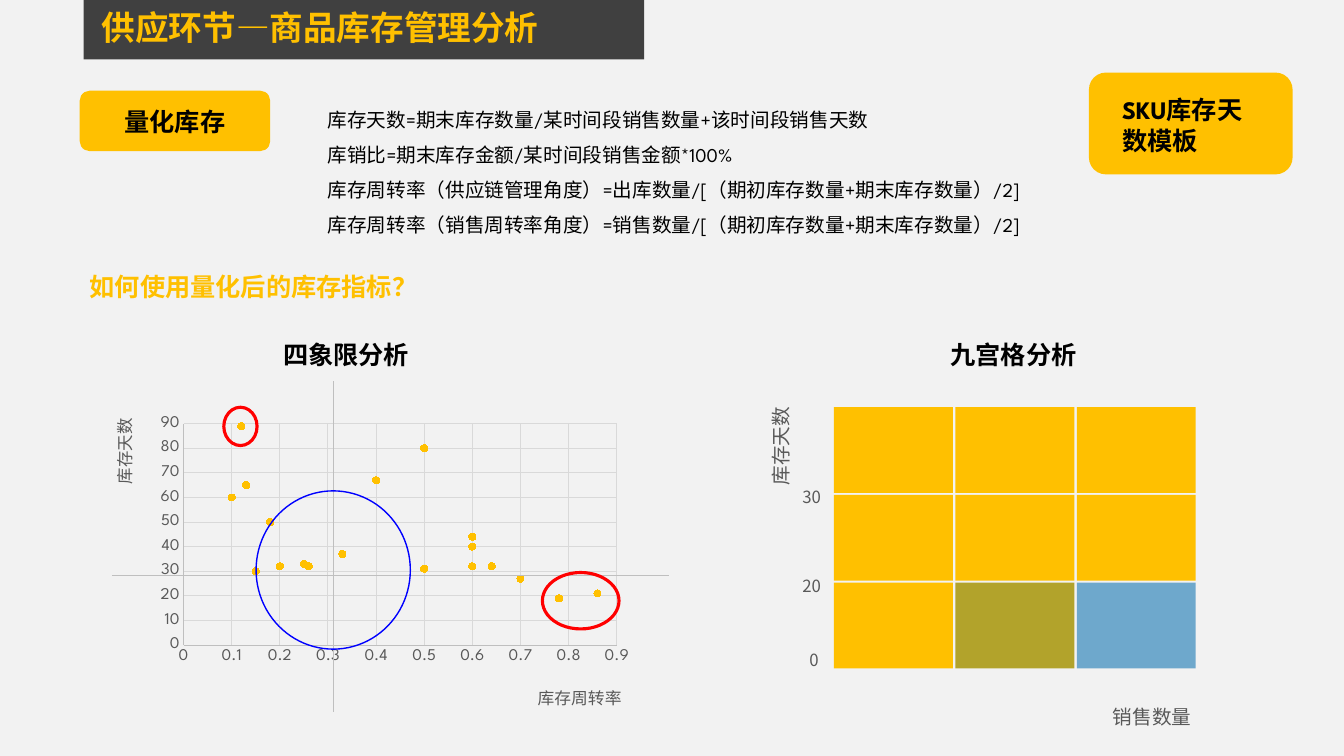
from lxml import etree
from pptx import Presentation
from pptx.chart.data import XyChartData
from pptx.dml.color import RGBColor
from pptx.enum.chart import XL_CHART_TYPE, XL_MARKER_STYLE, XL_TICK_MARK
from pptx.enum.lang import MSO_LANGUAGE_ID
from pptx.enum.shapes import MSO_CONNECTOR, MSO_SHAPE
from pptx.enum.text import MSO_ANCHOR, MSO_AUTO_SIZE, PP_ALIGN
from pptx.oxml import parse_xml
from pptx.oxml.ns import nsdecls, qn
from pptx.util import Inches, Pt

RECT, ROUNDED, OVAL = MSO_SHAPE.RECTANGLE, MSO_SHAPE.ROUNDED_RECTANGLE, MSO_SHAPE.OVAL
STRAIGHT = MSO_CONNECTOR.STRAIGHT
SCATTER, DOT = XL_CHART_TYPE.XY_SCATTER, XL_MARKER_STYLE.CIRCLE
NO_TICK = XL_TICK_MARK.NONE
CENTER, MIDDLE = PP_ALIGN.CENTER, MSO_ANCHOR.MIDDLE
GROW = MSO_AUTO_SIZE.SHAPE_TO_FIT_TEXT
CHINESE = MSO_LANGUAGE_ID.SIMPLIFIED_CHINESE
LATIN, CJK = "League Spartan", "Noto Sans CJK SC"

COLORS = {
    "background": "F2F2F2", "bar": "404040", "gold": "FFC000", "black": "000000",
    "gray": "595959", "axis": "BFBFBF", "grid": "D9D9D9", "blue": "0000FF",
    "red": "FF0000", "olive": "B2A32B", "sky": "6EA8CC",
}
HEADING = {"size": Pt(18), "bold": True}
AXIS_LABEL = {"size": Pt(14)}
TICK_LABEL = {"size": Pt(12), "name": CJK}

FORMULAS = [
    "库存天数=期末库存数量/某时间段销售数量+该时间段销售天数",
    "库销比=期末库存金额/某时间段销售金额*100%",
    "库存周转率（供应链管理角度）=出库数量/[（期初库存数量+期末库存数量）/2]",
    "库存周转率（销售周转率角度）=销售数量/[（期初库存数量+期末库存数量）/2]",
]
TURNOVER_DAYS = [
    (0.7, 27), (0.2, 32), (0.5, 80), (0.6, 44), (0.4, 67), (0.6, 40), (0.15, 30),
    (0.1, 60), (0.13, 65), (0.12, 89), (0.18, 50), (0.25, 33), (0.26, 32),
    (0.33, 37), (0.78, 19), (0.86, 21), (0.6, 32), (0.64, 32), (0.5, 31),
]
NINE_GRID = [["gold"] * 3, ["gold"] * 3, ["gold", "olive", "sky"]]


def rgb(color):
    """Return the named colour."""
    return RGBColor.from_string(COLORS[color])


def style_font(font, color, values):
    """Apply font values and a colour."""
    for key, value in ({"name": LATIN} | values).items():
        setattr(font, key, value)
    font.color.rgb = rgb(color)


def write(frame, lines, color, values, spacing=None, align=None):
    """Write one paragraph per line."""
    for index, line in enumerate(lines):
        paragraph = frame.add_paragraph() if index else frame.paragraphs[0]
        paragraph.alignment = align
        paragraph.line_spacing = spacing
        run = paragraph.add_run()
        run.text = line
        style_font(run.font, color, {"language_id": CHINESE} | values)
        east_asian = etree.SubElement(run.font._element, qn("a:ea"))
        east_asian.set("typeface", CJK)


def add_text(slide, box, lines, color, values, spacing=None, wrap=True, rotation=0):
    """Add a text box."""
    label = slide.shapes.add_textbox(*map(Inches, box))
    label.rotation = rotation
    label.text_frame.word_wrap = wrap
    label.text_frame.auto_size = GROW
    write(label.text_frame, lines, color, values, spacing)


def add_block(shapes, kind, box, color):
    """Add a filled shape without outline."""
    block = shapes.add_shape(kind, *map(Inches, box))
    block.shadow.inherit = False
    block.fill.solid()
    block.fill.fore_color.rgb = rgb(color)
    block.line.fill.background()
    return block


def add_ring(slide, box, color, width):
    """Add an unfilled ellipse around a cluster of points."""
    ring = slide.shapes.add_shape(OVAL, *map(Inches, box))
    ring.shadow.inherit = False
    ring.fill.background()
    ring.line.color.rgb = rgb(color)
    ring.line.width = Pt(width)


def add_divider(slide, ends):
    """Add a quadrant line."""
    divider = slide.shapes.add_connector(STRAIGHT, *map(Inches, ends))
    divider.line.color.rgb = rgb("axis")
    divider.line.width = Pt(0.5)
    etree.SubElement(divider._element.spPr, qn("a:effectLst"))


def set_layout(parent, index, values):
    """Give a chart part a manual layout."""
    for layout in parent.findall(qn("c:layout")):
        parent.remove(layout)
    layout = etree.Element(qn("c:layout"))
    manual = etree.SubElement(layout, qn("c:manualLayout"))
    for key, value in values.items():
        etree.SubElement(manual, qn(f"c:{key}")).set("val", str(value))
    parent.insert(index, layout)


def clear_fill():
    """Return chart properties with no fill and no outline."""
    return parse_xml(f'<c:spPr {nsdecls("c", "a")}><a:noFill/><a:ln><a:noFill/></a:ln></c:spPr>')


def style_axis(axis, title, top, step, x, y):
    """Format an axis and place its title."""
    values = {"minimum_scale": 0, "maximum_scale": top, "major_unit": step,
              "major_tick_mark": NO_TICK, "minor_tick_mark": NO_TICK,
              "has_major_gridlines": True}
    for key, value in values.items():
        setattr(axis, key, value)
    for line, color in ((axis.format.line, "axis"), (axis.major_gridlines.format.line, "grid")):
        line.color.rgb = rgb(color)
        line.width = Pt(0.75)
    style_font(axis.tick_labels.font, "gray", {"size": Pt(12)})
    axis.tick_labels.number_format = "General"
    axis.tick_labels.number_format_is_linked = False
    write(axis.axis_title.text_frame, [title], "gray", {"size": Pt(12), "bold": False})
    set_layout(axis.axis_title._element, 1, {"xMode": "edge", "yMode": "edge", "x": x, "y": y})


def add_scatter(slide):
    """Add the stock days against turnover chart."""
    data = XyChartData()
    series = data.add_series("Series 1")
    for turnover, days in TURNOVER_DAYS:
        series.add_data_point(turnover, days)
    box = map(Inches, (0.95, 4.04, 5.44, 3.05))
    chart = slide.shapes.add_chart(SCATTER, *box, data).chart
    chart.has_legend = chart.has_title = False
    style_font(chart.font, "black", {"size": Pt(10)})
    style_axis(chart.category_axis, "库存周转率", 0.9, 0.1, 0.8, 0.91)
    style_axis(chart.value_axis, "库存天数", 90, 10, 0.02, 0.03)
    turned = chart.value_axis.axis_title.text_frame._txBody.bodyPr
    turned.set("rot", "-5400000")
    turned.set("vert", "horz")

    plot = chart.plots[0]
    plot.vary_by_categories = False
    points = plot.series[0]
    points.smooth = False
    points.format.line.fill.background()
    points.marker.style, points.marker.size = DOT, 5
    points.marker.format.fill.solid()
    points.marker.format.fill.fore_color.rgb = rgb("gold")
    points.marker.format.line.color.rgb = rgb("gold")

    area = chart._chartSpace.chart.plotArea
    set_layout(area, 0, {"layoutTarget": "inner", "xMode": "edge", "yMode": "edge",
                         "x": 0.16, "y": 0.055, "w": 0.79, "h": 0.738})
    area.append(clear_fill())
    chart._chartSpace.chart.addnext(clear_fill())


def add_nine_grid(slide):
    """Add the three by three matrix."""
    cells = slide.shapes.add_group_shape().shapes
    for row, colors in enumerate(NINE_GRID):
        for column, color in enumerate(colors):
            box = (8.27 + column * 1.205, 4.04 + row * 0.87, 1.18, 0.85)
            add_block(cells, RECT, box, color)


def main():
    """Build the stock analysis slide."""
    deck = Presentation()
    deck.slide_width, deck.slide_height = Inches(13.33), Inches(7.5)
    slide = deck.slides.add_slide(deck.slide_layouts[6])
    slide.background.fill.solid()
    slide.background.fill.fore_color.rgb = rgb("background")

    add_block(slide.shapes, RECT, (0.83, 0, 5.56, 0.59), "bar")
    add_text(slide, (0.91, 0.06, 5.21, 0.5), ["供应环节—商品库存管理分析"], "gold",
             {"size": Pt(24), "bold": True}, spacing=0.9)
    measure = add_block(slide.shapes, ROUNDED, (0.79, 0.9, 1.89, 0.6), "gold")
    measure.text_frame.vertical_anchor = MIDDLE
    write(measure.text_frame, ["量化库存"], "black", HEADING, align=CENTER)
    add_block(slide.shapes, ROUNDED, (10.8, 0.72, 2.02, 1.01), "gold")
    add_text(slide, (3.15, 0.9, 8.15, 1.51), FORMULAS, "black", {"size": Pt(14)}, spacing=1.5)
    add_text(slide, (11.03, 0.89, 1.55, 0.71), ["SKU库存天数模板"], "black", HEADING)
    add_text(slide, (0.79, 2.64, 4.78, 0.4), ["如何使用量化后的库存指标？"], "gold", HEADING)

    add_text(slide, (2.71, 3.32, 1.61, 0.4), ["四象限分析"], "black", HEADING)
    add_scatter(slide)
    add_divider(slide, (3.31, 7.06, 3.31, 3.78))
    add_divider(slide, (1.11, 5.71, 6.64, 5.71))
    add_ring(slide, (2.54, 4.87, 1.53, 1.57), "blue", 1)
    add_ring(slide, (2.22, 4.04, 0.33, 0.38), "red", 2.25)
    add_ring(slide, (5.38, 5.68, 0.76, 0.56), "red", 2.25)

    add_text(slide, (9.33, 3.32, 1.46, 0.4), ["九宫格分析"], "black", HEADING, wrap=False)
    add_nine_grid(slide)
    add_text(slide, (7.25, 4.25, 0.99, 0.34), ["库存天数"], "gray", AXIS_LABEL,
             wrap=False, rotation=270)
    add_text(slide, (10.94, 6.94, 0.99, 0.34), ["销售数量"], "gray", AXIS_LABEL, wrap=False)
    for tick, box in (("0", (7.93, 6.4, 0.35, 0.3)), ("20", (7.86, 5.66, 0.4, 0.3)),
                      ("30", (7.86, 4.78, 0.4, 0.3))):
        add_text(slide, box, [tick], "gray", TICK_LABEL, wrap=False)
    deck.save("out.pptx")


if __name__ == "__main__":
    main()
